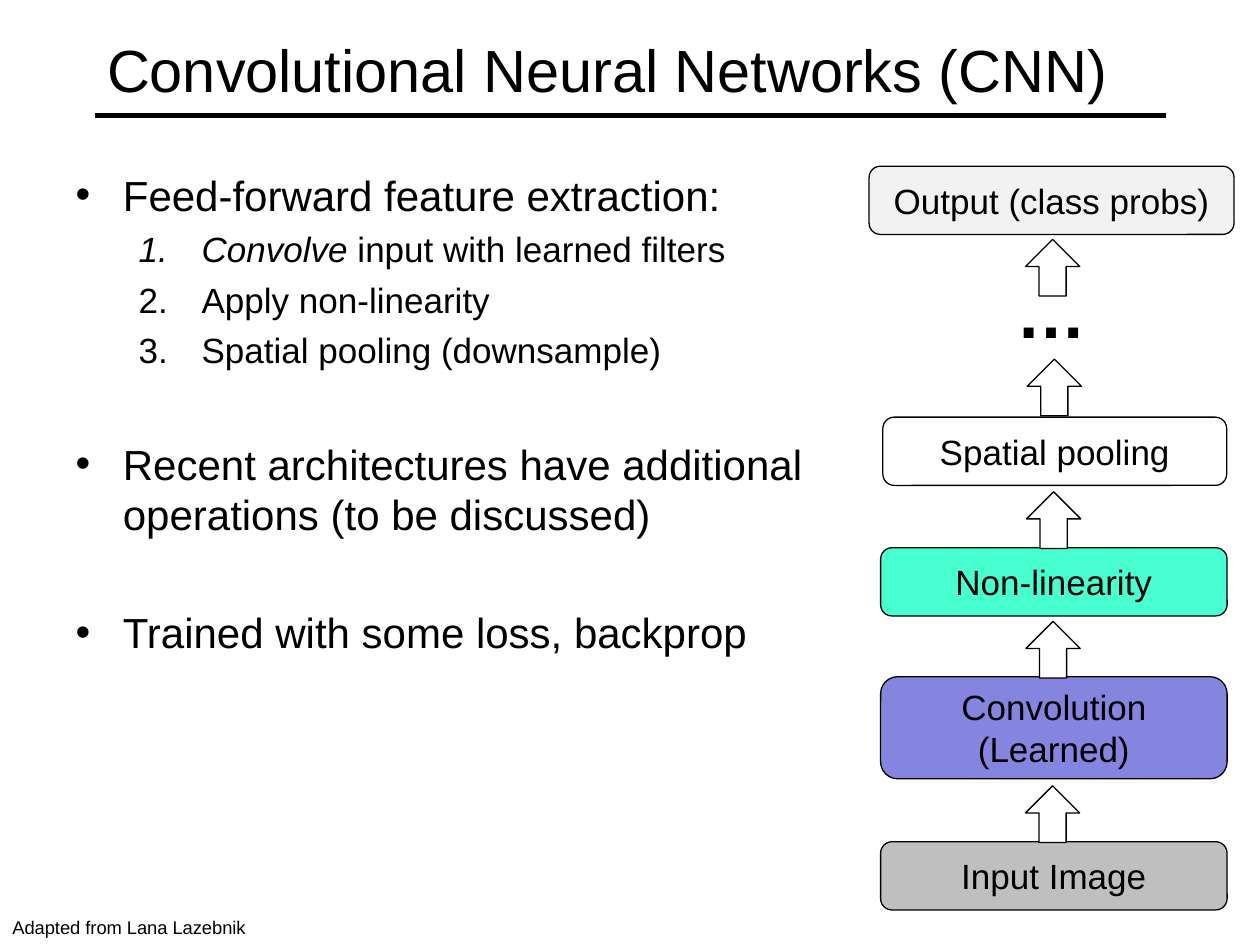
from dataclasses import dataclass

from lxml.etree import SubElement
from pptx import Presentation
from pptx.dml.color import RGBColor
from pptx.enum.shapes import MSO_CONNECTOR as Link, MSO_SHAPE as Kind
from pptx.enum.text import MSO_ANCHOR as Anchor, MSO_AUTO_SIZE as Fit, PP_ALIGN as Align
from pptx.oxml.ns import qn
from pptx.util import Pt

FONT = "Arial"
BLACK = RGBColor(0, 0, 0)
WHITE = RGBColor(255, 255, 255)
GRAY = RGBColor(0xBF, 0xBF, 0xBF)
PALE = RGBColor(0xF2, 0xF2, 0xF2)
BLUE = RGBColor(0x85, 0x85, 0xE0)
MINT = RGBColor(0x47, 0xFF, 0xD1)


@dataclass
class Stage:
    text: str
    left: float
    top: float
    width: float
    fill: RGBColor
    height: float = 39


@dataclass
class Arrow:
    left: float
    top: float


@dataclass
class Item:
    runs: list[str]
    gap: float
    step: bool = False
    slant: bool = False  # first run in italics


STAGES = [
    Stage("Input Image", 503.2, 481, 198, GRAY),
    Stage("Convolution (Learned)", 503.2, 386.7, 198, BLUE, 58.3),
    Stage("Non-linearity", 503.2, 313, 198, MINT),
    Stage("Spatial pooling", 504.5, 238.4, 196.5, WHITE),
    Stage("Output (class probs)", 496.6, 95, 208.6, PALE),
]
ARROWS = [
    Arrow(586, 449),
    Arrow(586.3, 355),
    Arrow(586.6, 281),
    Arrow(587, 205.2),
    Arrow(586, 136.8),
]
ITEMS = [
    Item(["Feed-forward feature extraction:"], 0),
    Item(["Convolve", " input with learned filters"], 4.8, True, True),
    Item(["Apply non-linearity"], 4.8, True),
    Item(["Spatial pooling (downsample)"], 4.8, True),
    Item(["Recent architectures have additional operations (to be discussed)"], 38.6),
    Item(["Trained with some loss, backprop"], 38.6),
]


def style(para, size: float, bold: bool = False) -> None:
    font = para.font
    font.name, font.size, font.bold = FONT, Pt(size), bold
    font.color.rgb = BLACK


def place(shape, left: float, top: float, width: float, height: float) -> None:
    shape.left, shape.top = Pt(left), Pt(top)
    shape.width, shape.height = Pt(width), Pt(height)


def add_block(slide, kind, left: float, top: float, width: float, height: float,
              fill: RGBColor):
    shape = slide.shapes.add_shape(kind, Pt(left), Pt(top), Pt(width), Pt(height))
    shape.shadow.inherit = False
    shape.fill.solid()
    shape.fill.fore_color.rgb = fill
    shape.line.color.rgb = BLACK
    shape.line.width = Pt(0.75)
    return shape


def add_stage(slide, stage: Stage) -> None:
    shape = add_block(slide, Kind.ROUNDED_RECTANGLE, stage.left, stage.top,
                      stage.width, stage.height, stage.fill)
    frame = shape.text_frame
    frame.word_wrap = True
    frame.vertical_anchor = Anchor.MIDDLE
    para = frame.paragraphs[0]
    para.text = stage.text
    para.alignment = Align.CENTER
    style(para, 20)


def add_label(slide, text: str, left: float, top: float, width: float,
              height: float, size: float, bold: bool = False) -> None:
    box = slide.shapes.add_textbox(Pt(left), Pt(top), Pt(width), Pt(height))
    box.text_frame.word_wrap = False
    para = box.text_frame.paragraphs[0]
    para.text = text
    style(para, size, bold)


def add_rule(slide) -> None:
    rule = slide.shapes.add_connector(Link.STRAIGHT, Pt(54), Pt(66), Pt(666), Pt(66))
    rule.line.color.rgb = BLACK
    rule.line.width = Pt(3)
    SubElement(rule._element.spPr, qn("a:effectLst"))


def fill_item(para, item: Item) -> None:
    para.level = int(item.step)
    props = para._p.get_or_add_pPr()
    indent, hang = (72, 36) if item.step else (27, 27)
    props.set("marL", str(Pt(indent)))
    props.set("indent", str(-Pt(hang)))
    if item.step:
        SubElement(props, qn("a:buAutoNum"), type="arabicPeriod")
    else:
        SubElement(props, qn("a:buChar"), char="•")
    para.space_before = Pt(item.gap)
    style(para, 20 if item.step else 24)
    for text in item.runs:
        para.add_run().text = text
    if item.slant:
        para.runs[0].font.italic = True


def fill_title(title) -> None:
    place(title, 54, 6, 612, 66)
    frame = title.text_frame
    frame.auto_size = Fit.NONE
    frame.vertical_anchor = Anchor.MIDDLE
    para = frame.paragraphs[0]
    para.text = "Convolutional Neural Networks (CNN)"
    para.alignment = Align.LEFT
    style(para, 34)


def fill_body(body) -> None:
    place(body, 36, 93, 455, 354)
    frame = body.text_frame
    frame.auto_size = Fit.NONE
    for i, item in enumerate(ITEMS):
        para = frame.add_paragraph() if i else frame.paragraphs[0]
        fill_item(para, item)


def main() -> None:
    deck = Presentation()
    deck.slide_width, deck.slide_height = Pt(720), Pt(540)
    slide = deck.slides.add_slide(deck.slide_layouts[1])
    add_rule(slide)
    fill_title(slide.shapes.title)
    fill_body(slide.placeholders[1])
    add_label(slide, "Adapted from Lana Lazebnik", 0, 520, 150.5, 20, 10.5)
    for stage in STAGES:
        add_stage(slide, stage)
    for arrow in ARROWS:
        add_block(slide, Kind.UP_ARROW, arrow.left, arrow.top, 31, 32.4, WHITE)
    add_label(slide, "…", 573.8, 149.8, 54.7, 55.4, 40, True)
    deck.save("out.pptx")


if __name__ == "__main__":
    main()
